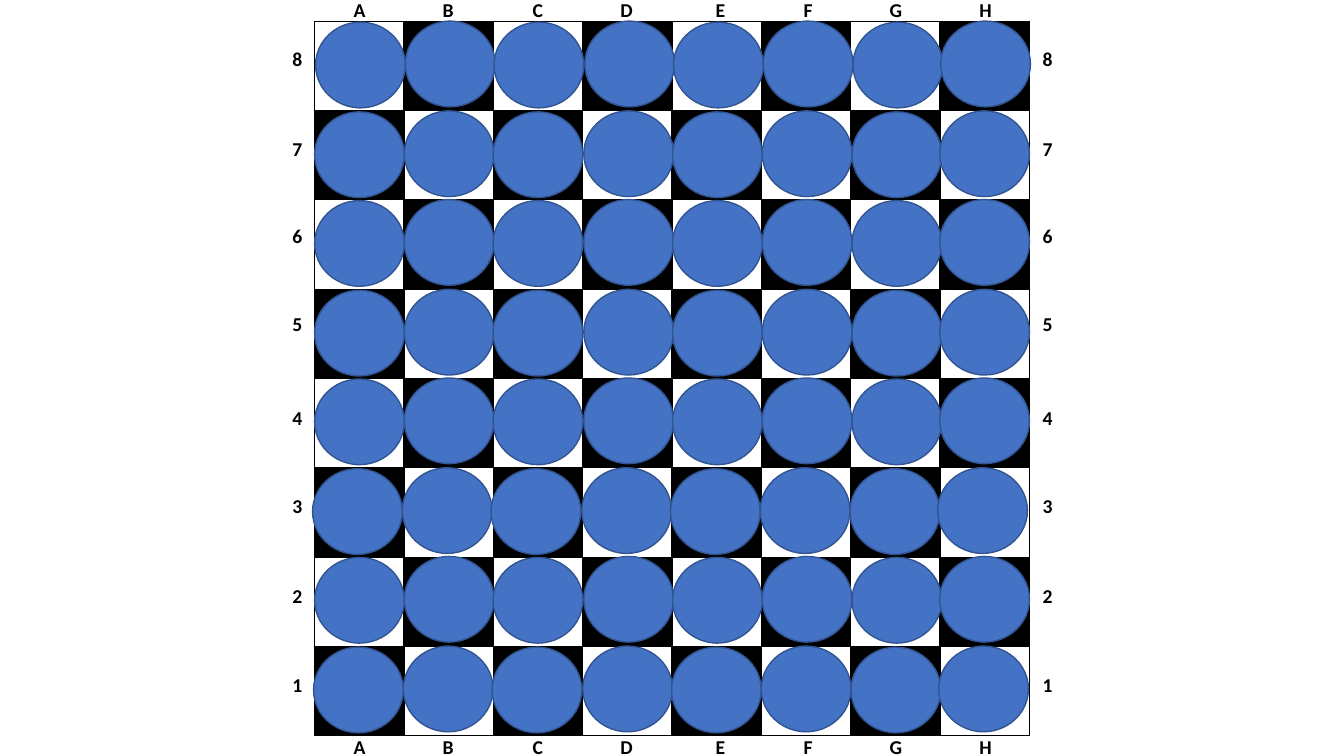
"""Draw a lettered and numbered chessboard with a disc on every square."""
from dataclasses import dataclass

from lxml import etree
from pptx import Presentation
from pptx.dml.color import RGBColor
from pptx.enum.shapes import MSO_SHAPE
from pptx.enum.text import MSO_AUTO_SIZE, PP_ALIGN
from pptx.oxml.ns import qn
from pptx.slide import Slide
from pptx.table import _Cell
from pptx.util import Emu, Pt

OVAL = MSO_SHAPE.OVAL
GROW = MSO_AUTO_SIZE.SHAPE_TO_FIT_TEXT
CENTER = PP_ALIGN.CENTER

BLACK = RGBColor(0x00, 0x00, 0x00)
WHITE = RGBColor(0xFF, 0xFF, 0xFF)
DISC_BLUE = RGBColor(0x44, 0x72, 0xC4)
DISC_EDGE = RGBColor(0x32, 0x54, 0x91)

EMU_PER_PX = 9144
SLIDE_WIDTH, SLIDE_HEIGHT = 1333, 750
SQUARES = 8
BOARD_LEFT, BOARD_TOP, BOARD_SIDE = 312, 21, 709
LABEL_HEIGHT = 31
FILE_WIDTH, RANK_WIDTH = 89, 44
FILE_TOPS = (-7, 724)
RANK_LEFTS = (273, 1017)
FILE_LEFTS = (312, 400, 489, 577, 670, 757, 844, 933)
RANK_TOPS = (48, 137, 224, 311, 404, 492, 581, 669)
DISC_WIDTH, DISC_HEIGHT = 89, 85
DISC_LEFTS = (312, 401, 489, 579, 667, 756, 845, 932)
DISC_ROW_SHIFTS = (1, 0, 0, 0, 0, -2, 0, -1)
DISC_FIRST_TOP, DISC_LAST_TOP = 22, 642


@dataclass(frozen=True)
class Label:
    """A file letter or rank number beside the board."""

    text: str
    left: int
    top: int
    width: int
    turned: bool


@dataclass(frozen=True)
class Disc:
    """The top left corner of one disc."""

    left: int
    top: int


def px(length: int) -> Emu:
    """Turn px into EMU."""
    return Emu(length * EMU_PER_PX)


def board_labels() -> list[Label]:
    """List the labels on all four sides."""
    ranks = [
        Label(str(SQUARES - row), left, top, RANK_WIDTH, True)
        for left in RANK_LEFTS
        for row, top in enumerate(RANK_TOPS)
    ]
    files = [
        Label(letter, left, top, FILE_WIDTH, False)
        for top in FILE_TOPS
        for letter, left in zip("ABCDEFGH", FILE_LEFTS)
    ]
    return ranks + files


def board_discs() -> list[Disc]:
    """List the discs, with every second column one px higher."""
    pitch = (DISC_LAST_TOP - DISC_FIRST_TOP) / (SQUARES - 1)
    return [
        Disc(left + shift, round(DISC_FIRST_TOP + row * pitch) - column % 2)
        for column, left in enumerate(DISC_LEFTS)
        for row, shift in enumerate(DISC_ROW_SHIFTS)
    ]


def draw_label(slide: Slide, label: Label) -> None:
    """Draw one bold label."""
    shape = slide.shapes.add_textbox(
        px(label.left), px(label.top), px(label.width), px(LABEL_HEIGHT)
    )
    frame = shape.text_frame
    frame.word_wrap = True
    frame.auto_size = GROW
    if label.turned:
        shape.rotation = 270
        shape.element.txBody.bodyPr.set("vert", "vert")
    paragraph = frame.paragraphs[0]
    paragraph.text = label.text
    paragraph.alignment = CENTER
    paragraph.font.name = "Calibri"
    paragraph.font.size = Pt(14)
    paragraph.font.bold = True
    paragraph.font.color.rgb = BLACK


def style_square(cell: _Cell, color: RGBColor) -> None:
    """Give a square its black border and its fill."""
    properties = cell._tc.get_or_add_tcPr()
    for side in ("a:lnL", "a:lnR", "a:lnT", "a:lnB"):
        line = etree.SubElement(properties, qn(side), w=str(Pt(1)))
        fill = etree.SubElement(line, qn("a:solidFill"))
        etree.SubElement(fill, qn("a:srgbClr"), val=str(BLACK))
    cell.fill.solid()
    cell.fill.fore_color.rgb = color


def draw_board(slide: Slide) -> None:
    """Draw the board as a table of alternating squares."""
    side = px(BOARD_SIDE)
    table = slide.shapes.add_table(
        SQUARES, SQUARES, px(BOARD_LEFT), px(BOARD_TOP), side, side
    ).table
    table.first_row = False
    table.horz_banding = False
    for row in range(SQUARES):
        for column in range(SQUARES):
            color = BLACK if (row + column) % 2 else WHITE
            style_square(table.cell(row, column), color)


def draw_disc(slide: Slide, disc: Disc) -> None:
    """Draw one disc."""
    shape = slide.shapes.add_shape(
        OVAL, px(disc.left), px(disc.top), px(DISC_WIDTH), px(DISC_HEIGHT)
    )
    shape.shadow.inherit = False
    shape.fill.solid()
    shape.fill.fore_color.rgb = DISC_BLUE
    shape.line.color.rgb = DISC_EDGE
    shape.line.width = Pt(1)


def main() -> None:
    """Build and save the slide."""
    presentation = Presentation()
    presentation.slide_width = px(SLIDE_WIDTH)
    presentation.slide_height = px(SLIDE_HEIGHT)
    slide = presentation.slides.add_slide(presentation.slide_layouts[6])
    for label in board_labels():
        draw_label(slide, label)
    draw_board(slide)
    for disc in board_discs():
        draw_disc(slide, disc)
    presentation.save("out.pptx")


if __name__ == "__main__":
    main()
